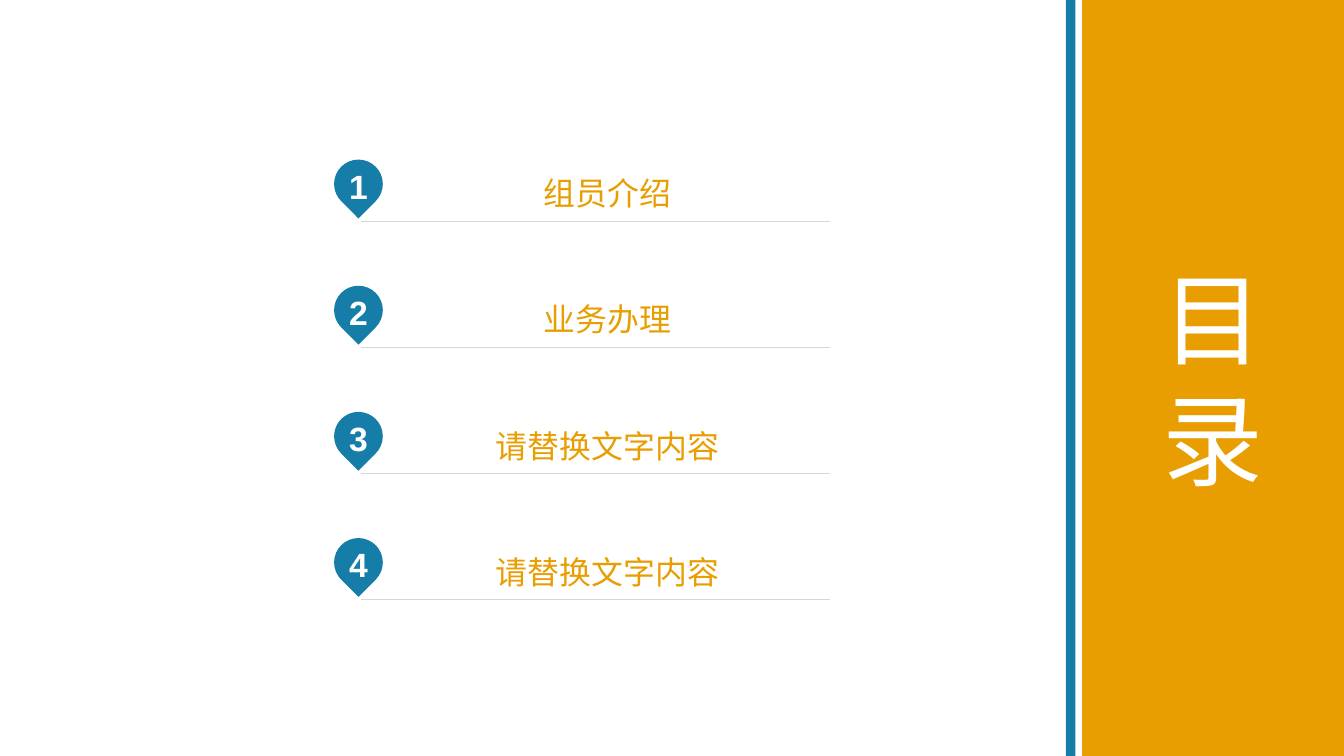
from dataclasses import dataclass
from math import cos, radians, sin, sqrt, tan

from lxml import etree
from pptx import Presentation
from pptx.dml.color import RGBColor
from pptx.enum.shapes import MSO_SHAPE
from pptx.enum.text import MSO_ANCHOR, PP_ALIGN
from pptx.oxml.ns import qn
from pptx.util import Inches, Pt

RECT = MSO_SHAPE.RECTANGLE
MIDDLE = MSO_ANCHOR.MIDDLE
CENTER = PP_ALIGN.CENTER


@dataclass(frozen=True)
class Theme:
    gold: str = "E89E00"
    blue: str = "157DA8"
    white: str = "FFFFFF"
    grey: str = "D7D7D7"
    font: str = "Arial"
    digit: float = 25.3
    label: float = 24
    title: float = 75.9
    rule: float = 0.25


@dataclass(frozen=True)
class Entry:
    digit: str
    label: str


THEME = Theme()
WIDTH, HEIGHT = 14.06, 7.91
TOP, PITCH = 1.67, 1.32
PIN_X, RADIUS = 3.75, 0.255
RULE_X, RULE_W, ROW_H = 3.78, 4.9, 0.62
ENTRIES = [
    Entry("1", "组员介绍"),
    Entry("2", "业务办理"),
    Entry("3", "请替换文字内容"),
    Entry("4", "请替换文字内容"),
]


def paint(shape, color: str) -> None:
    shape.shadow.inherit = False
    shape.fill.solid()
    shape.fill.fore_color.rgb = RGBColor.from_string(color)
    shape.line.fill.background()


def write(shape, lines: list[str], size: float, color: str,
          inset=(0.1, 0.05, 0.1, 0.05), bold=False, space=1.0) -> None:
    frame = shape.text_frame
    left, top, right, bottom = map(Inches, inset)
    layout = {"word_wrap": True, "vertical_anchor": MIDDLE,
              "margin_left": left, "margin_top": top,
              "margin_right": right, "margin_bottom": bottom}
    for key, value in layout.items():
        setattr(frame, key, value)
    frame.text = "\n".join(lines)
    style = {"name": THEME.font, "size": Pt(size), "bold": bold}
    for para in frame.paragraphs:
        para.alignment = CENTER
        para.line_spacing = space
        font = para.runs[0].font
        for key, value in style.items():
            setattr(font, key, value)
        font.color.rgb = RGBColor.from_string(color)


def arc(mid: float, start: int, end: int) -> list[tuple[int, int]]:
    """Two handles and the end point of a curve around the pin's head."""
    a, b = radians(start), radians(end)
    h = 4 / 3 * tan((b - a) / 4)
    units = [(cos(a) - h * sin(a), sin(a) + h * cos(a)),
             (cos(b) + h * sin(b), sin(b) - h * cos(b)),
             (cos(b), sin(b))]
    return [(Inches(PIN_X + RADIUS * x), Inches(mid + RADIUS * y))
            for x, y in units]


def bend(shape, starts: tuple[int, ...]) -> None:
    """Turn each run of three line segments into one curve."""
    lines = list(shape._element.iter(qn("a:lnTo")))
    for start in starts:
        curve = etree.Element(qn("a:cubicBezTo"))
        lines[start].addprevious(curve)
        for line in lines[start:start + 3]:
            curve.append(line[0])
            line.getparent().remove(line)


def draw_pin(slide, top: float, digit: str) -> None:
    # A round head whose two tangents meet in the tip
    mid = top + RADIUS
    tip = (Inches(PIN_X), Inches(mid + RADIUS * sqrt(2)))
    left = arc(mid, 90, 135)[-1]
    points = [*arc(mid, 270, 360), *arc(mid, 360, 405), tip, left,
              *arc(mid, 135, 180), *arc(mid, 180, 270)]
    path = slide.shapes.build_freeform(Inches(PIN_X), Inches(top))
    path.add_line_segments(points, close=True)
    pin = path.convert_to_shape()
    bend(pin, (0, 3, 8, 11))
    paint(pin, THEME.blue)
    write(pin, [digit], THEME.digit, THEME.white,
          inset=(0.1, 0.05, 0.1, 0.12), bold=True)


def draw_row(slide, top: float, label: str) -> None:
    # A rule along the foot; the bare point above sets the text height
    head, foot = Inches(top), Inches(top + ROW_H)
    left, right = Inches(RULE_X), Inches(RULE_X + RULE_W)
    path = slide.shapes.build_freeform(left, foot)
    path.add_line_segments([(right, foot), (left, foot)], close=True)
    path.move_to(left, head)
    path.add_line_segments([(left, head), (left, head)], close=True)
    row = path.convert_to_shape()
    row.shadow.inherit = False
    row.fill.background()
    row.line.color.rgb = RGBColor.from_string(THEME.grey)
    row.line.width = Pt(THEME.rule)
    write(row, [label], THEME.label, THEME.gold,
          inset=(0.25, 0, 0, 0.04), space=1.2)


def draw_band(slide, left: float, width: float, color: str):
    band = slide.shapes.add_shape(RECT, Inches(left), 0,
                                  Inches(width), Inches(HEIGHT))
    paint(band, color)
    return band


def main() -> None:
    deck = Presentation()
    deck.slide_width, deck.slide_height = Inches(WIDTH), Inches(HEIGHT)
    slide = deck.slides.add_slide(deck.slide_layouts[6])

    # Contents list
    for i, entry in enumerate(ENTRIES):
        top = TOP + i * PITCH
        draw_pin(slide, top, entry.digit)
        draw_row(slide, top + 0.02, entry.label)

    # Title panel and stripe
    panel = draw_band(slide, 11.32, 2.74, THEME.gold)
    write(panel, ["目", "录"], THEME.title, THEME.white)
    draw_band(slide, 11.15, 0.1, THEME.blue)

    deck.save("out.pptx")


if __name__ == "__main__":
    main()
